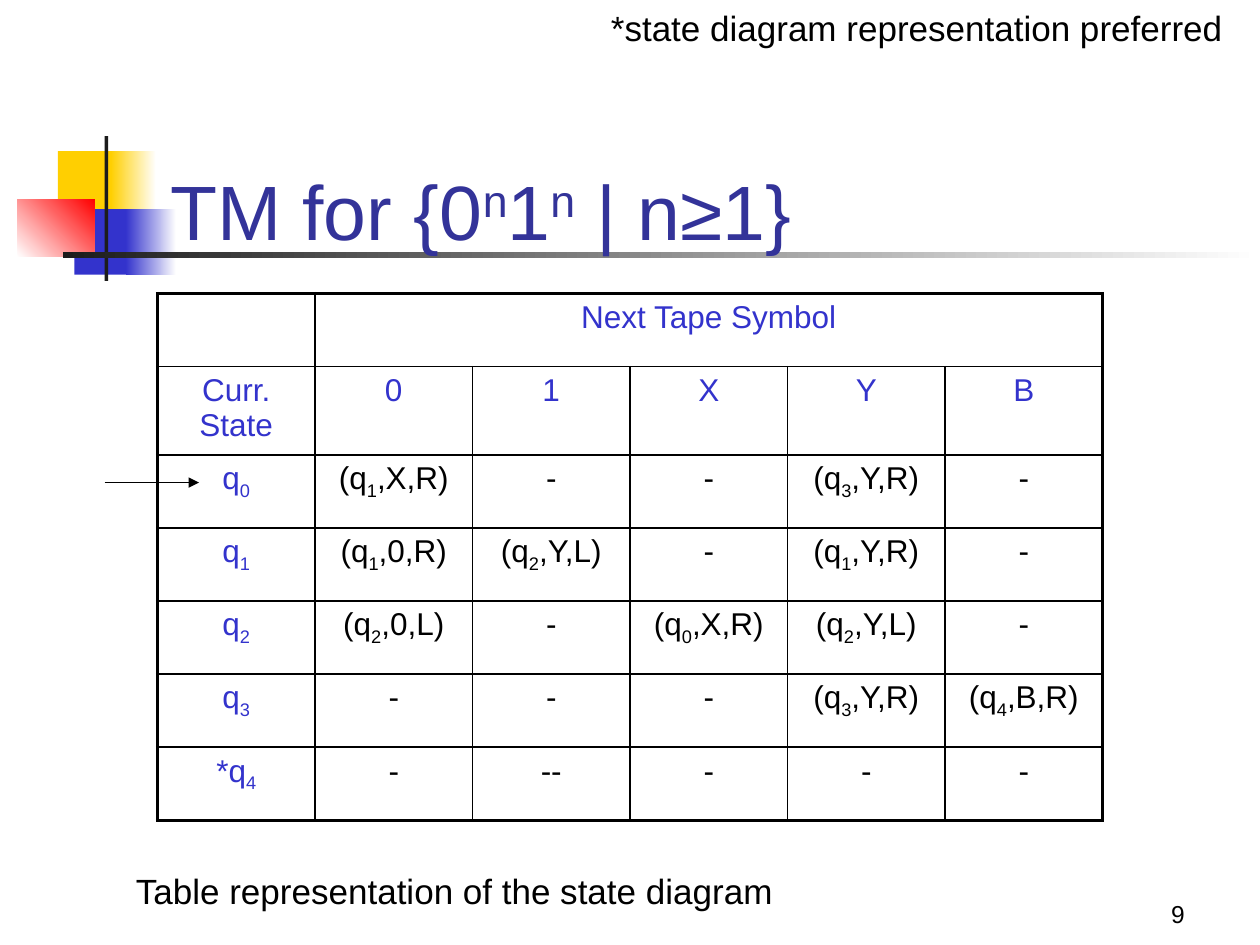
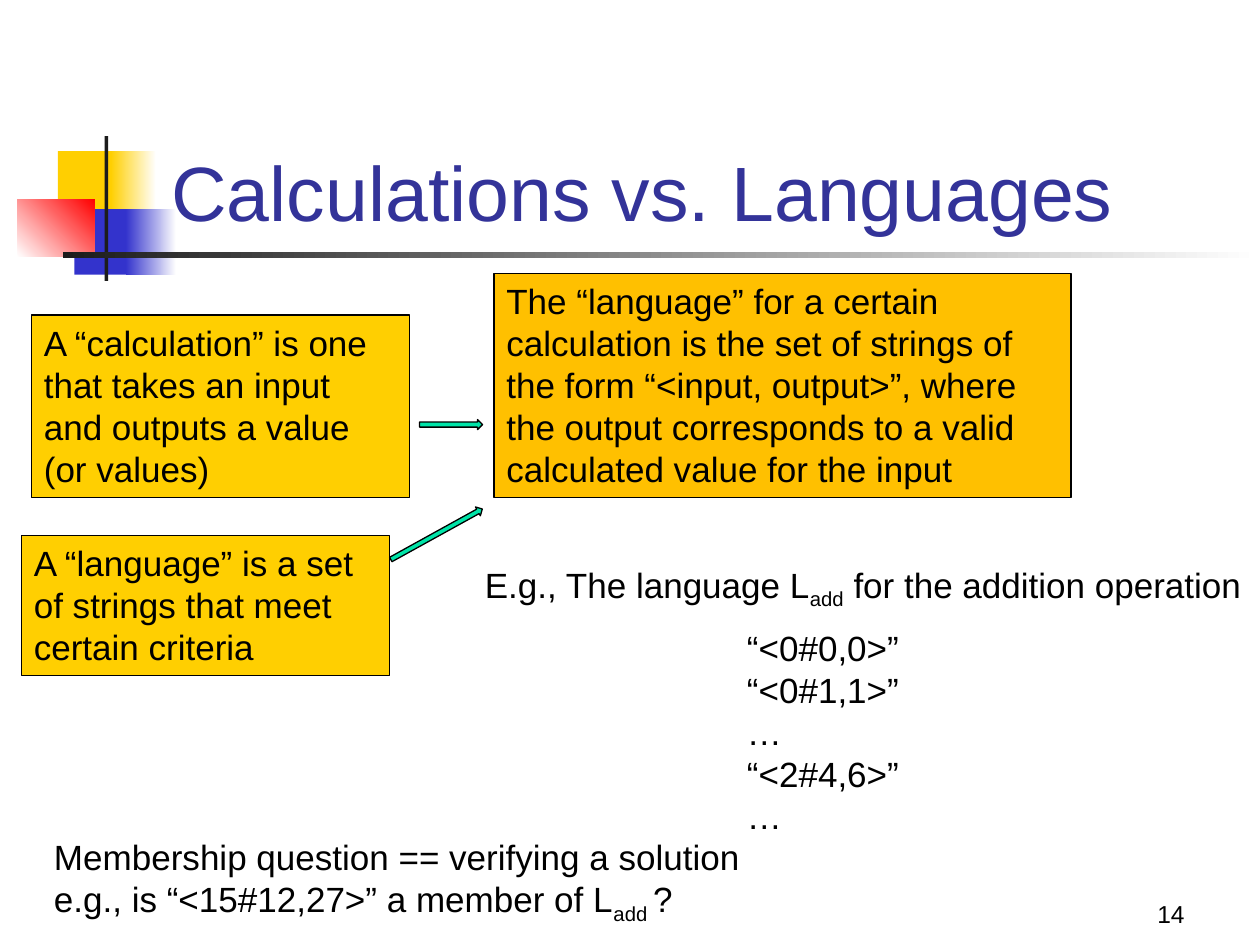
"""Build two lecture slides on Turing machines and languages."""
import dataclasses

import lxml.etree
import pptx
import pptx.dml.color
import pptx.enum.shapes
import pptx.enum.text
import pptx.oxml.ns
import pptx.util

Inches = pptx.util.Inches
Pt = pptx.util.Pt
SHAPES = pptx.enum.shapes.MSO_SHAPE
ALIGN = pptx.enum.text.PP_ALIGN
ANCHOR = pptx.enum.text.MSO_ANCHOR
AUTO_SIZE = pptx.enum.text.MSO_AUTO_SIZE


@dataclasses.dataclass(frozen=True)
class Theme:
    """Colours, font and sizes shared by the slides."""
    font: str = "Arial"
    title: str = "333399"
    text: str = "000000"
    paper: str = "FFFFFF"
    yellow: str = "FFCF01"
    blue: str = "3333CC"
    red: str = "FF0000"
    bar: str = "1C1C1C"
    amber: str = "FFC000"
    green: str = "00E4A8"
    title_size: int = 44
    body_size: int = 20
    table_size: int = 18
    number_size: int = 14
    superscript: int = 30
    subscript: int = -25
    thin: float = 0.75
    grid: float = 1
    outline: float = 2.25


THEME = Theme()

ORNAMENT = (
    ((0.46, 1.2, 0.48, 0.52), (THEME.yellow,), 0),
    ((0.88, 1.2, 0.36, 0.52), (THEME.yellow, THEME.paper), 0),
    ((0.59, 1.66, 0.46, 0.52), (THEME.blue,), 0),
    ((1, 1.66, 0.4, 0.52), (THEME.blue, THEME.paper), 0),
    ((0.14, 1.58, 0.61, 0.46), (THEME.paper, THEME.red), 45),
    ((0.83, 1.08, 0.03, 1.15), (THEME.bar,), 0),
    ((0.5, 2, 9.5, 0.05), (THEME.bar, THEME.paper), 0),
)

TAPE_SYMBOLS = ("0", "1", "X", "Y", "B")
TRANSITIONS = (
    ("q", "0", ("1XR", "-", "-", "3YR", "-")),
    ("q", "1", ("10R", "2YL", "-", "1YR", "-")),
    ("q", "2", ("20L", "-", "0XR", "2YL", "-")),
    ("q", "3", ("-", "-", "-", "3YR", "4BR")),
    ("*q", "4", ("-", "--", "-", "-", "-")),
)


def rgb(color):
    """Turn a hex string into a colour value."""
    return pptx.dml.color.RGBColor.from_string(color)


def inches(lengths):
    """Turn plain numbers into lengths."""
    return [Inches(length) for length in lengths]


def add_run(paragraph, text, size, color, baseline):
    """Add one formatted run, raised or lowered by a baseline percentage."""
    run = paragraph.add_run()
    run.text = text
    run.font.name = THEME.font
    run.font.size = Pt(size)
    run.font.bold = False
    run.font.color.rgb = rgb(color)
    if baseline:
        run.font._element.set("baseline", str(baseline * 1000))


def write(frame, paragraphs, size=THEME.body_size, color=THEME.text,
          align=ALIGN.LEFT, shift=THEME.subscript):
    """Write paragraphs whose parts alternate between normal and shifted text."""
    for index, parts in enumerate(paragraphs):
        paragraph = frame.add_paragraph() if index else frame.paragraphs[0]
        paragraph.alignment = align
        for position, part in enumerate(parts):
            for line, text in enumerate(part.split("\n")):
                if line:
                    paragraph.add_line_break()
                add_run(paragraph, text, size, color, shift * (position % 2))


def add_shape(slide, kind, at, colors, angle=0, outlined=False):
    """Add a preset shape with a solid or two-colour gradient fill."""
    shape = slide.shapes.add_shape(kind, *inches(at))
    shape.shadow.inherit = False
    if len(colors) == 1:
        shape.fill.solid()
        shape.fill.fore_color.rgb = rgb(colors[0])
    else:
        shape.fill.gradient()
        shape.fill.gradient_angle = angle
        for stop, color in zip(shape.fill.gradient_stops, colors):
            stop.color.rgb = rgb(color)
    if outlined:
        shape.line.color.rgb = rgb(THEME.text)
        shape.line.width = Pt(THEME.thin)
    else:
        shape.line.fill.background()
    return shape


def add_statement(slide, at, color, text):
    """Add an outlined box holding one statement."""
    statement = add_shape(slide, SHAPES.RECTANGLE, at, (color,), outlined=True)
    statement.text_frame.word_wrap = True
    statement.text_frame.vertical_anchor = ANCHOR.TOP
    write(statement.text_frame, [(text,)])


def add_block_arrow(slide, at, rotation=0):
    """Add a green block arrow."""
    arrow = add_shape(slide, SHAPES.RIGHT_ARROW, at, (THEME.green,), outlined=True)
    arrow.rotation = rotation


def add_note(slide, at, *paragraphs):
    """Add unwrapped text that fits its box."""
    frame = slide.shapes.add_textbox(*inches(at)).text_frame
    frame.word_wrap = False
    frame.auto_size = AUTO_SIZE.SHAPE_TO_FIT_TEXT
    write(frame, paragraphs)


def add_start_arrow(slide, start, end):
    """Add the thin arrow that marks the start state."""
    arrow = slide.shapes.add_connector(
        pptx.enum.shapes.MSO_CONNECTOR.STRAIGHT, *inches(start + end))
    arrow.line.color.rgb = rgb(THEME.text)
    arrow.line.width = Pt(THEME.thin)
    properties = arrow.element.spPr
    line = properties.find(pptx.oxml.ns.qn("a:ln"))
    lxml.etree.SubElement(line, pptx.oxml.ns.qn("a:tailEnd"), type="triangle")
    lxml.etree.SubElement(properties, pptx.oxml.ns.qn("a:effectLst"))


def add_border(cell, side, width):
    """Draw one side of a cell."""
    line = lxml.etree.SubElement(
        cell._tc.get_or_add_tcPr(), pptx.oxml.ns.qn(f"a:ln{side}"), w=str(Pt(width)))
    fill = lxml.etree.SubElement(line, pptx.oxml.ns.qn("a:solidFill"))
    lxml.etree.SubElement(fill, pptx.oxml.ns.qn("a:srgbClr"), val=THEME.text)


def frame_cells(table):
    """Draw a thin grid with a heavy outline."""
    last_row, last_column = len(table.rows) - 1, len(table.columns) - 1
    for row in range(last_row + 1):
        for column in range(last_column + 1):
            cell = table.cell(row, column)
            right = column + cell.span_width - 1 if cell.is_merge_origin else column
            edges = {"L": column == 0, "R": right == last_column,
                     "T": row == 0, "B": row == last_row}
            for side, outer in edges.items():
                add_border(cell, side, THEME.outline if outer else THEME.grid)
            cell.fill.background()


def transition_parts(transition):
    """Spell out a transition such as 1XR with its state subscript."""
    if transition.startswith("-"):
        return (transition,)
    state, symbol, move = transition
    return ("(q", state, f",{symbol},{move})")


def add_transition_table(slide, left, top, column_width, row_height):
    """Add the transition table of the machine."""
    columns, rows = len(TAPE_SYMBOLS) + 1, len(TRANSITIONS) + 2
    table = slide.shapes.add_table(rows, columns, *inches(
        (left, top, columns * column_width, rows * row_height))).table
    table.first_row = table.horz_banding = False
    for row in table.rows:
        row.height = Inches(row_height)
    table.cell(0, 1).merge(table.cell(0, columns - 1))

    def fill(row, column, parts, color=THEME.blue):
        """Write one centred cell."""
        write(table.cell(row, column).text_frame, [parts],
              THEME.table_size, color, ALIGN.CENTER)

    fill(0, 1, ("Next Tape Symbol",))
    for column, heading in enumerate(("Curr. State",) + TAPE_SYMBOLS):
        fill(1, column, (heading,))
    for row, (letter, state, transitions) in enumerate(TRANSITIONS, 2):
        fill(row, 0, (letter, state))
        for column, transition in enumerate(transitions, 1):
            fill(row, column, transition_parts(transition), THEME.text)
    frame_cells(table)


def add_slide(deck, title_at, title_parts, number):
    """Add a slide with the ornament, title and slide number."""
    slide = deck.slides.add_slide(deck.slide_layouts[5])
    for at, colors, angle in ORNAMENT:
        add_shape(slide, SHAPES.RECTANGLE, at, colors, angle)
    title = slide.shapes.title
    title.left, title.top, title.width, title.height = inches(title_at)
    title.element.getparent().append(title.element)
    title.text_frame.auto_size = AUTO_SIZE.NONE
    title.text_frame.vertical_anchor = ANCHOR.BOTTOM
    write(title.text_frame, [title_parts], THEME.title_size, THEME.title,
          shift=THEME.superscript)
    footer = slide.shapes.add_textbox(*inches((7.42, 6.92, 2.08, 0.5))).text_frame
    footer.word_wrap = True
    footer.vertical_anchor = ANCHOR.BOTTOM
    write(footer, [(number,)], THEME.number_size, align=ALIGN.RIGHT)
    return slide


def build_machine(deck):
    """Build the slide with the transition table."""
    slide = add_slide(deck, (1.25, 0.83, 8.52, 1.25),
                      ("TM for {0", "n", "1", "n", " | n≥1}"), "9")
    add_transition_table(slide, 1.25, 2.33, 1.25, 0.58)
    add_start_arrow(slide, (0.83, 3.83), (1.58, 3.83))
    add_note(slide, (0.98, 6.85, 5.28, 0.43),
             ("Table representation of the state diagram",))
    add_note(slide, (4.75, 0, 5.09, 0.44),
             ("*state diagram representation preferred",))


def build_languages(deck):
    """Build the slide relating calculations to languages."""
    slide = add_slide(deck, (1.26, 0.68, 8.52, 1.25),
                      ("Calculations vs. Languages",), "14")
    add_statement(slide, (0.25, 2.5, 3, 1.45), THEME.yellow,
                  "A “calculation” is one that takes an input and outputs "
                  "a value (or values)")
    add_statement(slide, (0.17, 4.25, 2.92, 1.11), THEME.yellow,
                  "A “language” is a set of strings that meet certain criteria")
    add_statement(slide, (3.92, 2.17, 4.58, 1.78), THEME.amber,
                  "The “language” for a certain calculation is the set of strings "
                  "of the form “<input, output>”, where the output corresponds "
                  "to a valid calculated value for the input")
    add_note(slide, (5.83, 4.92, 1.41, 2.12), ("“<0#0,0>”",), ("“<0#1,1>”",),
             ("…",), ("“<2#4,6>”",), ("…",))
    add_note(slide, (3.75, 4.42, 6.44, 0.44),
             ("E.g., The language L", "add", " for the addition operation"))
    add_block_arrow(slide, (3.33, 3.33, 0.5, 0.08))
    add_block_arrow(slide, (3.05, 4.2, 0.83, 0.08), 331.1)
    add_note(slide, (0.33, 6.58, 5.69, 0.77),
             ("Membership question == verifying a solution\n"
              "e.g., is “<15#12,27>” a member of L", "add ", "?"))


def main():
    """Build and save the deck."""
    deck = pptx.Presentation()
    deck.slide_width, deck.slide_height = inches((10, 7.5))
    build_machine(deck)
    build_languages(deck)
    deck.save("out.pptx")


if __name__ == "__main__":
    main()
